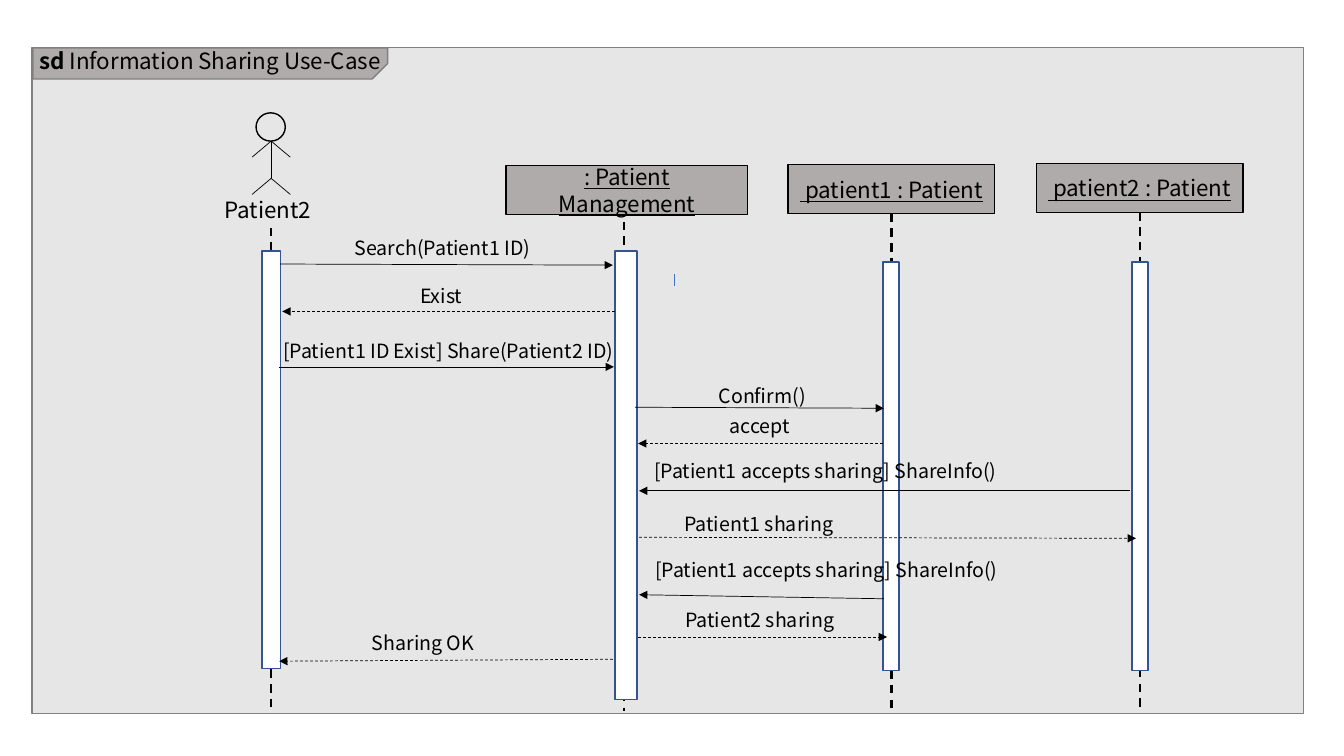
"""Draw the sequence diagram of the information sharing use case."""
import pptx
import pptx.util
import pptx.dml.color
import pptx.enum.dml
import pptx.enum.shapes
import pptx.enum.text
import pptx.oxml
import pptx.oxml.ns

Pt = pptx.util.Pt
RGB = pptx.dml.color.RGBColor
SHAPE = pptx.enum.shapes.MSO_SHAPE
ALIGN = pptx.enum.text.PP_ALIGN
BLACK = RGB(0, 0, 0)
WHITE = RGB(255, 255, 255)
PALE = RGB(0xE7, 0xE6, 0xE6)
GREY = RGB(0x80, 0x80, 0x80)
STONE = RGB(0xAF, 0xAB, 0xAB)
NAVY = RGB(0x32, 0x54, 0x91)
BLUE = RGB(0x44, 0x72, 0xC4)
FONT = "Noto Sans CJK KR"
FOOT = 507.6

HEADS = [
    (": Patient Management", 361.4, 118.1, 172.8),
    (" patient1 : Patient", 563, 117.4, 147.6),
    (" patient2 : Patient", 740.2, 116.6, 147.6),
]
BARS = [
    (187.2, 179.3, 13, 298.1),
    (439.2, 179.3, 15.8, 320.4),
    (630.7, 187.2, 11.5, 291.6),
    (808.6, 187.2, 11.5, 291.6),
]
CALLS = [
    ("Search(Patient1 ID)", 246.2, 164.9, 200, 188.6, 437.8, 189.4, False),
    ("Exist", 293, 199.4, 439.2, 222.5, 201.6, 222.5, True),
    ("[Patient1 ID Exist] Share(Patient2 ID)", 195.1, 238.3,
     199.4, 262.1, 438.5, 262.1, False),
    ("Confirm()", 506.2, 270.7, 453.6, 290.9, 631.4, 291.6, False),
    ("accept", 514.1, 292.3, 630.7, 316.8, 455.8, 316.8, True),
    ("[Patient1 accepts sharing] ShareInfo()", 460.1, 324,
     807.1, 350.6, 456.5, 350.6, False),
    ("Patient1 sharing", 481.7, 362.2, 456.5, 383.8, 811.4, 384.5, True),
    ("[Patient1 accepts sharing] ShareInfo()", 460.8, 395.3,
     631.4, 427.7, 456.5, 424.8, False),
    ("Patient2 sharing", 482.4, 430.6, 455.8, 455, 633.6, 455, True),
    ("Sharing OK", 258.5, 447.1, 437.8, 470.9, 199.4, 472.3, True),
]


def add_box(slide, kind, left, top, width, height, fill, edge):
    """Add a preset shape with a thin outline and an optional fill."""
    box = slide.shapes.add_shape(kind, Pt(left), Pt(top), Pt(width), Pt(height))
    box.shadow.inherit = False
    if fill is None:
        box.fill.background()
    else:
        box.fill.solid()
        box.fill.fore_color.rgb = fill
    box.line.color.rgb = edge
    box.line.width = Pt(1)
    return box


def add_line(slide, x1, y1, x2, y2, width=0.5, dash=False, tip=False, hue=BLACK):
    """Add a straight line, dashed or with an arrowhead if asked."""
    line = slide.shapes.add_connector(
        pptx.enum.shapes.MSO_CONNECTOR.STRAIGHT, Pt(x1), Pt(y1), Pt(x2), Pt(y2))
    line.line.color.rgb = hue
    line.line.width = Pt(width)
    if dash:
        line.line.dash_style = pptx.enum.dml.MSO_LINE.DASH
    props = line._element.spPr
    if tip:
        tail = pptx.oxml.ns.qn("a:tailEnd")
        props.find(pptx.oxml.ns.qn("a:ln")).append(
            props.makeelement(tail, {"type": "triangle"}))
    props.append(props.makeelement(pptx.oxml.ns.qn("a:effectLst"), {}))
    return line


def style_run(run, size):
    """Set the font, size and black colour of a run."""
    run.font.name = FONT
    run.font.size = Pt(size)
    run.font.color.rgb = BLACK


def add_label(slide, text, left, top, width=300, size=14):
    """Add a line of text and return its paragraph."""
    label = slide.shapes.add_textbox(Pt(left), Pt(top), Pt(width), Pt(size * 1.2 + 7.2))
    label.text_frame.word_wrap = True
    para = label.text_frame.paragraphs[0]
    para.text = text
    style_run(para.runs[0], size)
    return para


def add_head(slide, text, left, top, width):
    """Add the underlined name box of a lifeline."""
    head = add_box(slide, SHAPE.RECTANGLE, left, top, width, 35.3, STONE, BLACK)
    frame = head.text_frame
    frame.text = text
    frame.word_wrap = True
    frame.vertical_anchor = pptx.enum.text.MSO_ANCHOR.MIDDLE
    frame.paragraphs[0].alignment = ALIGN.CENTER
    run = frame.paragraphs[0].runs[0]
    style_run(run, 16)
    run.font.underline = True
    return head


def add_frame(slide):
    """Add the diagram frame with its title tab."""
    add_box(slide, SHAPE.RECTANGLE, 23, 33.8, 907.9, 475.9, PALE, GREY)
    tab = add_box(slide, SHAPE.SNIP_1_RECTANGLE, 139, -81.4, 22.3, 253.4, STONE, GREY)
    tab.rotation = 90
    tab.adjustments[0] = 0.5
    title = add_label(slide, "sd ", 20.9, 30.2, 272.2, 16)
    title.runs[0].font.bold = True
    rest = title.add_run()
    rest.text = "Information Sharing Use-Case"
    style_run(rest, 16)


def add_actor(slide):
    """Add the stick figure with its name."""
    mid, neck, hip = 193.7, 100.8, 127.4
    add_box(slide, SHAPE.OVAL, 182.9, 80.6, 20.9, 20.2, None, BLACK)
    add_line(slide, mid, neck, mid, hip)
    for joint in (neck, hip):
        for side in (-13.7, 13.7):
            add_line(slide, mid, joint, mid + side, joint + 11.5)
    add_label(slide, "Patient2", 153.4, 136.8, 90, 16)


def main():
    """Build the slide and save it."""
    deck = pptx.Presentation()
    deck.slide_width, deck.slide_height = Pt(960), Pt(540)
    slide = deck.slides.add_slide(deck.slide_layouts[6])
    add_frame(slide)
    add_actor(slide)
    main_head, *heads = [add_head(slide, *head) for head in HEADS]
    add_line(slide, 193.7, 162.7, 193.7, FOOT, 1.5, True)
    add_line(slide, 445.7, 158.4, 445.7, FOOT, 1.5, True)
    for head, mid in zip(heads, (637.2, 814.3)):
        line = add_line(slide, mid, 152, mid, FOOT, 1.5, True)
        line.begin_connect(head, 2)
        line.end_x = line.begin_x
    for bar in BARS:
        add_box(slide, SHAPE.RECTANGLE, *bar, WHITE, NAVY)
    add_line(slide, 481.7, 195.8, 481.7, 204.5, hue=BLUE)
    for text, left, top, x1, y1, x2, y2, reply in CALLS:
        add_line(slide, x1, y1, x2, y2, dash=reply, tip=True)
        add_label(slide, text, left, top)
    deck.save("out.pptx")


if __name__ == "__main__":
    main()
